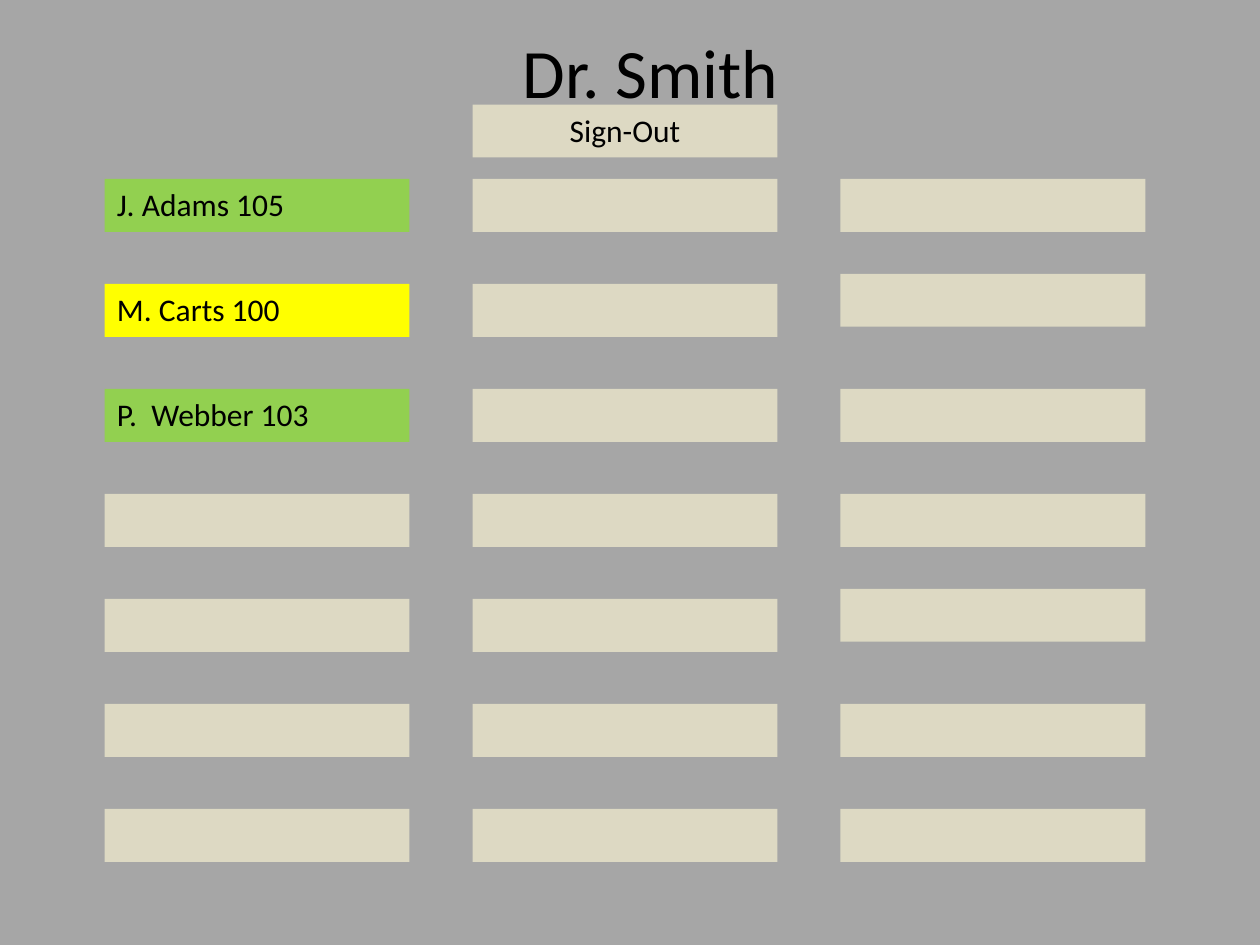
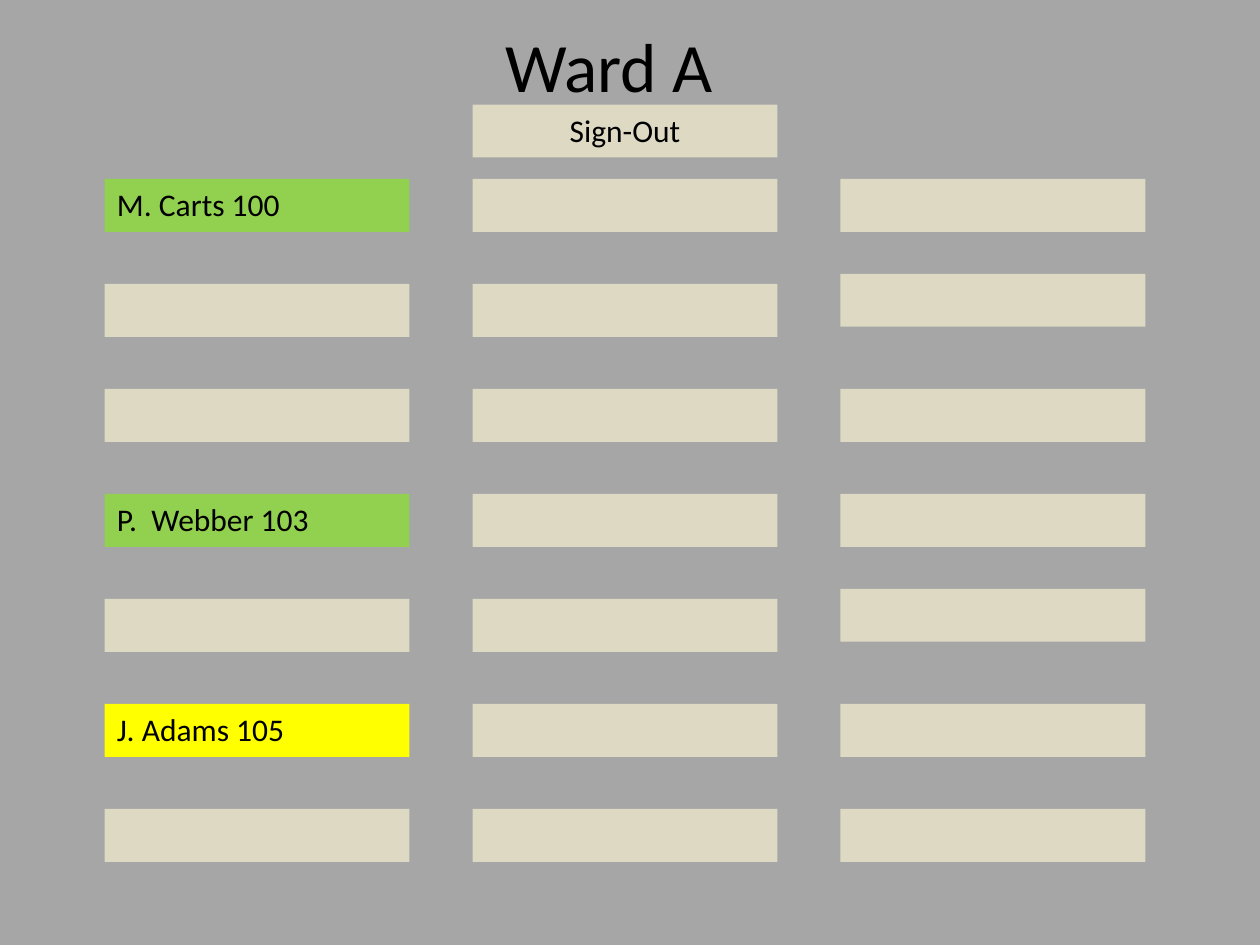
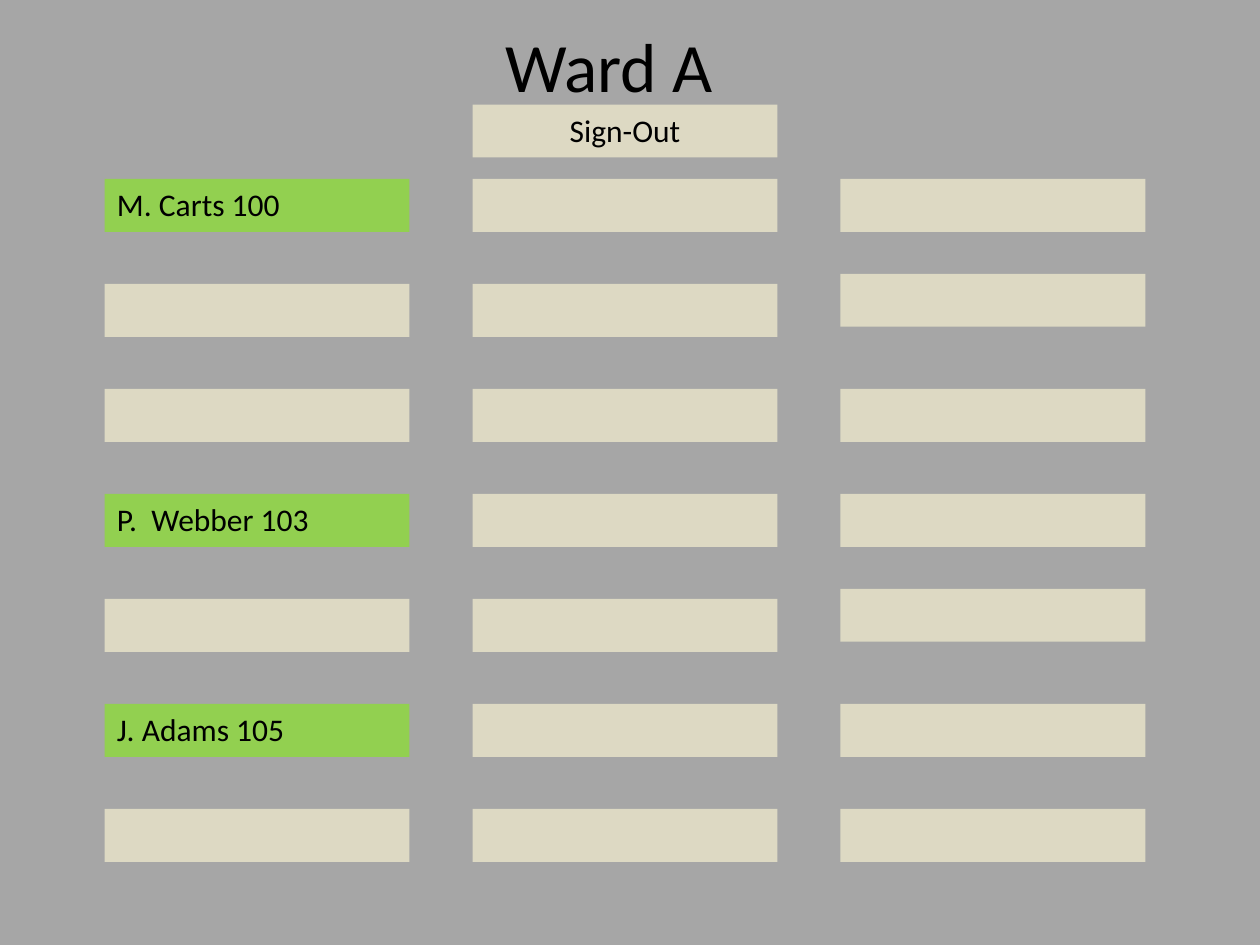
from dataclasses import dataclass

from pptx import Presentation
from pptx.dml.color import RGBColor
from pptx.enum.shapes import MSO_SHAPE
from pptx.enum.text import MSO_ANCHOR, MSO_AUTO_SIZE, PP_ALIGN
from pptx.util import Inches, Pt

RECTANGLE = MSO_SHAPE.RECTANGLE
TOP, MIDDLE = MSO_ANCHOR.TOP, MSO_ANCHOR.MIDDLE
LEFT, CENTER = PP_ALIGN.LEFT, PP_ALIGN.CENTER
GROW = MSO_AUTO_SIZE.SHAPE_TO_FIT_TEXT


@dataclass(frozen=True)
class Theme:
    font: str = "Calibri"
    text: str = "000000"
    background: str = "A6A6A6"
    empty: str = "DDD9C3"
    green: str = "92D050"
    yellow: str = "FFFF00"
    title_size: float = 39.6
    label_size: float = 18


THEME = Theme()

ADAMS = "J. Adams 105"
CARTS = "M. Carts 100"
WEBBER = "P.  Webber 103"
SIGN_OUT = "Sign-Out"

BOARDS = [
    {
        "title": "Dr. Smith",
        "title_at": (0.83, 0.3),
        "patients": {
            0: (ADAMS, THEME.green),
            1: (CARTS, THEME.yellow),
            2: (WEBBER, THEME.green),
        },
    },
    {
        "title": "Ward A",
        "title_at": (0.5, 0.25),
        "patients": {
            0: (CARTS, THEME.green),
            3: (WEBBER, THEME.green),
            5: (ADAMS, THEME.yellow),
        },
    },
    {
        "title": "Ward A",
        "title_at": (0.5, 0.25),
        "patients": {
            0: (CARTS, THEME.green),
            3: (WEBBER, THEME.green),
            5: (ADAMS, THEME.green),
        },
    },
]

SLIDE_SIZE = (10, 7.5)
TITLE_SIZE = (8.67, 0.53)
SLOT_SIZE = (2.42, 0.42)
COLUMN_LEFTS = (0.83, 3.75, 6.67)
SIGN_OUT_TOP = 0.83
FIRST_ROW_TOP = 1.42
ROW_PITCH = 5 / 6
ROW_COUNT = 7
RAISED_SLOTS = {(2, 1), (2, 4)}
RAISE = 0.08


def write(shape, text, size, align, anchor):
    frame = shape.text_frame
    frame.word_wrap = True
    frame.vertical_anchor = anchor
    frame.text = text
    paragraph = frame.paragraphs[0]
    paragraph.alignment = align
    font = paragraph.runs[0].font
    font.name = THEME.font
    font.size = Pt(size)
    font.color.rgb = RGBColor.from_string(THEME.text)


def add_title(slide, text, position):
    title = slide.shapes.add_textbox(*map(Inches, position + TITLE_SIZE))
    write(title, text, THEME.title_size, CENTER, MIDDLE)


def add_slot(slide, left, top, text="", color=THEME.empty, align=LEFT):
    slot = slide.shapes.add_shape(
        RECTANGLE, *map(Inches, (left, top) + SLOT_SIZE)
    )
    slot.shadow.inherit = False
    slot.fill.solid()
    slot.fill.fore_color.rgb = RGBColor.from_string(color)
    slot.line.fill.background()
    if text:
        write(slot, text, THEME.label_size, align, TOP)
        slot.text_frame.auto_size = GROW


def add_board(slide, board):
    add_title(slide, board["title"], board["title_at"])
    for column, left in enumerate(COLUMN_LEFTS):
        for row in range(ROW_COUNT):
            top = FIRST_ROW_TOP + row * ROW_PITCH
            if (column, row) in RAISED_SLOTS:
                top -= RAISE
            patient = board["patients"].get(row, ()) if column == 0 else ()
            add_slot(slide, left, top, *patient)
    add_slot(slide, COLUMN_LEFTS[1], SIGN_OUT_TOP, SIGN_OUT, align=CENTER)


def main():
    deck = Presentation()
    deck.slide_width, deck.slide_height = map(Inches, SLIDE_SIZE)
    backdrop = deck.slide_master.background.fill
    backdrop.solid()
    backdrop.fore_color.rgb = RGBColor.from_string(THEME.background)
    blank = deck.slide_layouts[6]
    for board in BOARDS:
        add_board(deck.slides.add_slide(blank), board)
    deck.save("out.pptx")


if __name__ == "__main__":
    main()
